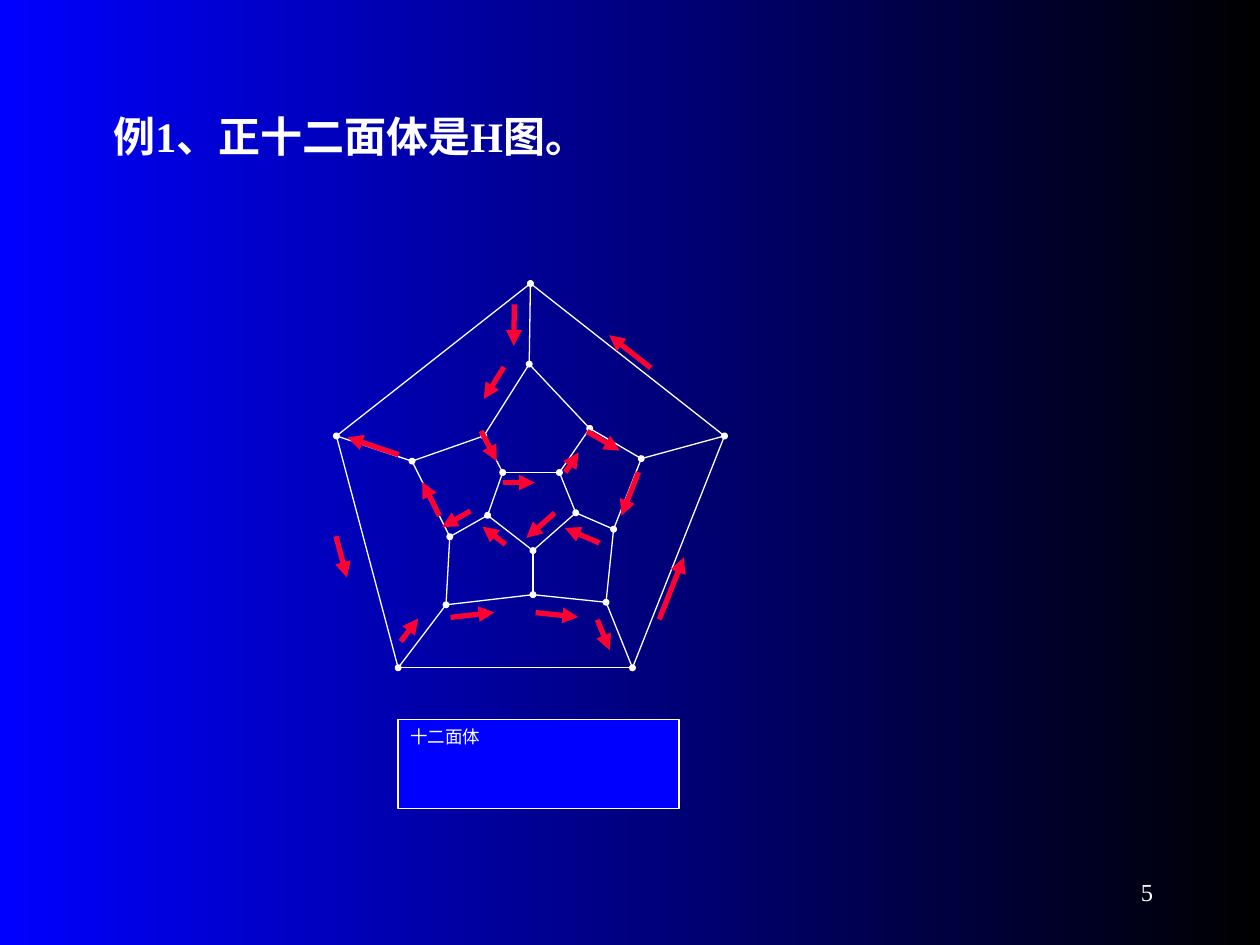
import math
from pptx import Presentation
from pptx import util as u
from pptx.dml.color import RGBColor
from pptx.enum import shapes, text
from pptx.oxml.ns import qn
from lxml import etree

WHITE, BLUE, BLACK, RED = "FFFFFF", "0000FF", "000000", "FF0033"
FONT = "Times New Roman"
TITLE = "例1、正十二面体是H图。"
CAPTION = "十二面体"
PAGE_NUMBER = "5"

SIDES = 5
VERTICES = {
    "outer": [(4.21, 2.25), (5.75, 3.46), (5.02, 5.3), (3.16, 5.3), (2.67, 3.46)],
    "spoke": [(4.2, 2.89), (5.09, 3.64), (4.81, 4.78), (3.54, 4.8), (3.27, 3.66)],
    "link": [(4.68, 3.4), (4.87, 4.2), (4.23, 4.72), (3.57, 4.26), (3.84, 3.46)],
    "inner": [(4.44, 3.75), (4.57, 4.07), (4.23, 4.37), (3.87, 4.09), (3.99, 3.75)],
}
DOTTED_EDGE_RULES = [
    ("outer", "outer", 1), ("spoke", "outer", 0),
    ("link", "inner", 0), ("inner", "inner", 1),
]
PLAIN_EDGE_RULES = [("spoke", "link", 0), ("link", "spoke", 1)]

HAMILTON_CYCLE = [
    ("outer", 4, (2.71, 4.42), 0.34), ("outer", 3, (3.25, 5.0), 0.23),
    ("spoke", 3, (3.75, 4.88), 0.35), ("link", 2, (4.42, 4.88), 0.34),
    ("spoke", 2, (4.79, 5.04), 0.26), ("outer", 2, (5.33, 4.67), 0.53),
    ("outer", 1, (5.0, 2.79), 0.42), ("outer", 0, (4.08, 2.58), 0.33),
    ("spoke", 0, (3.92, 3.04), 0.3), ("link", 4, (3.88, 3.54), 0.27),
    ("inner", 4, (4.12, 3.83), 0.25), ("inner", 0, (4.54, 3.67), 0.19),
    ("link", 0, (4.79, 3.5), 0.3), ("spoke", 1, (5.0, 3.92), 0.37),
    ("link", 1, (4.62, 4.25), 0.3), ("inner", 1, (4.29, 4.17), 0.3),
    ("inner", 2, (3.92, 4.25), 0.23), ("inner", 3, (3.62, 4.12), 0.26),
    ("link", 3, (3.42, 3.96), 0.3), ("spoke", 4, (2.96, 3.54), 0.43),
]


def color(value):
    return RGBColor.from_string(value)


def edges(rules):
    for start_ring, end_ring, step in rules:
        for index in range(SIDES):
            yield (VERTICES[start_ring][index],
                   VERTICES[end_ring][(index + step) % SIDES])


def cycle_arrows():
    following = HAMILTON_CYCLE[1:] + HAMILTON_CYCLE[:1]
    for leg, next_leg in zip(HAMILTON_CYCLE, following):
        ring, index, (center_x, center_y), length = leg
        next_ring, next_index = next_leg[:2]
        x1, y1 = VERTICES[ring][index]
        x2, y2 = VERTICES[next_ring][next_index]
        angle = math.atan2(y2 - y1, x2 - x1)
        half_x = math.cos(angle) * length / 2
        half_y = math.sin(angle) * length / 2
        yield ((center_x - half_x, center_y - half_y),
               (center_x + half_x, center_y + half_y))


def draw_lines(parent, lines, stroke, width, ending=None):
    for start, end in lines:
        connector = parent.shapes.add_connector(
            shapes.MSO_CONNECTOR.STRAIGHT, *map(u.Inches, start + end))
        connector.line.width = u.Pt(width)
        connector.line.color.rgb = color(stroke)
        properties = connector._element.spPr
        if ending:
            tag, attributes = ending
            etree.SubElement(properties.find(qn("a:ln")), qn(tag), attributes)
        etree.SubElement(properties, qn("a:effectLst"))


def place(shape, left, top, width, height):
    shape.left, shape.top = u.Inches(left), u.Inches(top)
    shape.width, shape.height = u.Inches(width), u.Inches(height)


def write(shape, words, size, align, anchor=text.MSO_ANCHOR.TOP, bold=False, inset=0.1):
    frame = shape.text_frame
    frame.text = words
    frame.word_wrap = True
    frame.auto_size = text.MSO_AUTO_SIZE.NONE
    frame.vertical_anchor = anchor
    frame.margin_left, frame.margin_right = u.Inches(inset), u.Inches(0.1)
    frame.margin_top = frame.margin_bottom = u.Inches(0.05)
    para = frame.paragraphs[0]
    para.alignment = align
    for span in para.runs:
        span.font.name, span.font.size, span.font.bold = FONT, u.Pt(size), bold
        span.font.color.rgb = color(WHITE)


def paint_background(page):
    backdrop = page.background.fill
    backdrop.gradient()
    backdrop.gradient_angle = 0
    for stop, position, shade in zip(backdrop.gradient_stops, (0, 1), (BLUE, BLACK)):
        stop.position = position
        stop.color.rgb = color(shade)


def add_graph(page):
    graph = page.shapes.add_group_shape()
    vertex_dot = ("a:headEnd", {"type": "oval", "w": "sm", "len": "sm"})
    draw_lines(graph, edges(DOTTED_EDGE_RULES), WHITE, 0.75, vertex_dot)
    draw_lines(graph, edges(PLAIN_EDGE_RULES), WHITE, 0.75)

    caption = graph.shapes.add_shape(
        shapes.MSO_SHAPE.RECTANGLE, *map(u.Inches, (3.16, 5.71, 2.23, 0.71)))
    caption.shadow.inherit = False
    caption.fill.solid()
    caption.fill.fore_color.rgb = color(BLUE)
    caption.line.color.rgb = color(WHITE)
    caption.line.width = u.Pt(0.75)
    write(caption, CAPTION, 10, text.PP_ALIGN.JUSTIFY)


def main():
    deck = Presentation()
    deck.slide_width, deck.slide_height = u.Inches(10), u.Inches(7.5)
    page = deck.slides.add_slide(deck.slide_layouts[5])
    paint_background(page)

    title = page.shapes.title
    place(title, 0.5, 0.83, 8.17, 0.5)
    write(title, TITLE, 24, text.PP_ALIGN.LEFT, bold=True, inset=0.4)

    number = page.shapes.add_textbox(0, 0, 0, 0)
    place(number, 7.17, 6.83, 2.08, 0.5)
    write(number, PAGE_NUMBER, 14, text.PP_ALIGN.RIGHT, text.MSO_ANCHOR.MIDDLE)

    add_graph(page)
    draw_lines(page, cycle_arrows(), RED, 3, ("a:tailEnd", {"type": "triangle"}))
    deck.save("out.pptx")


if __name__ == "__main__":
    main()
